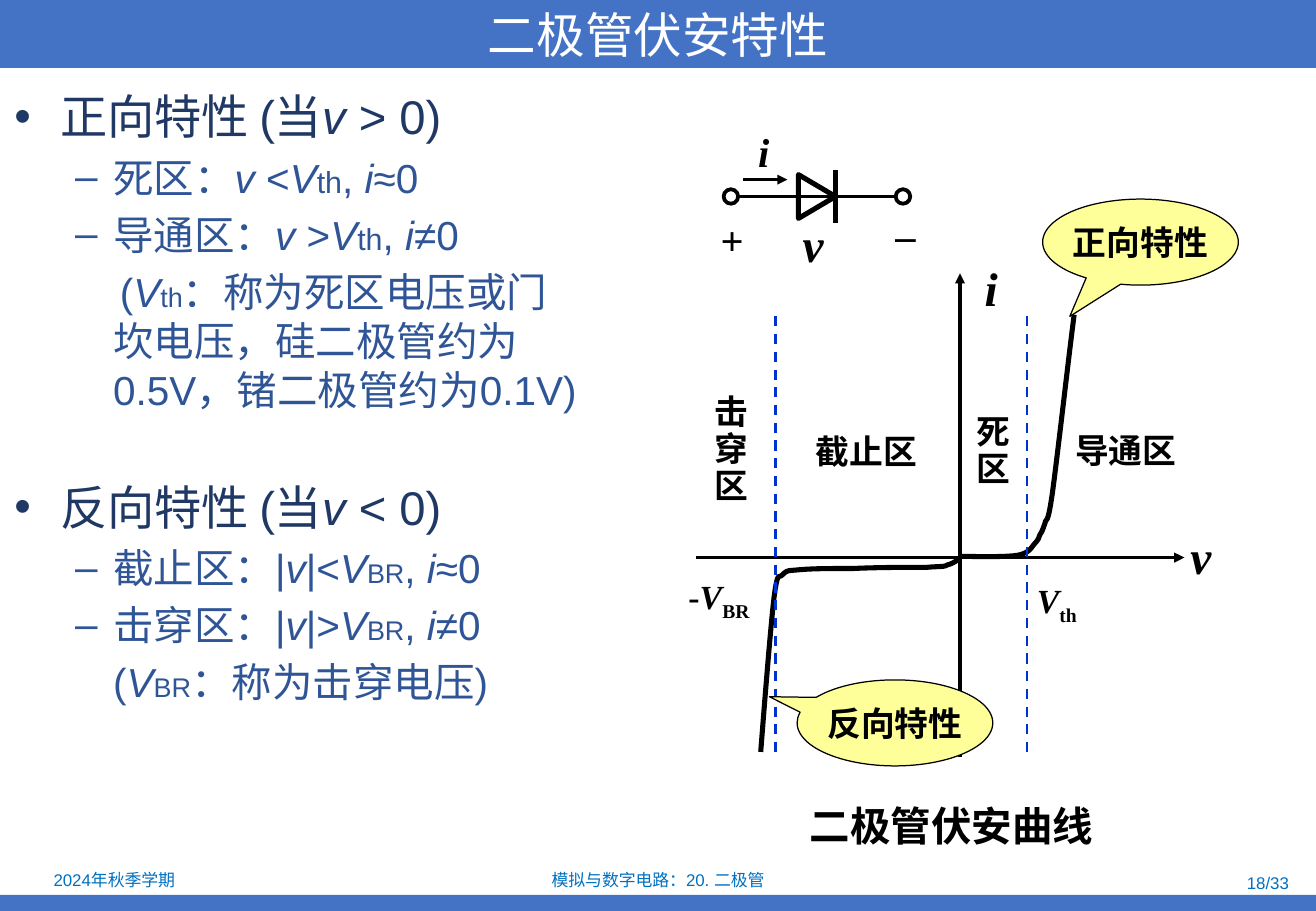
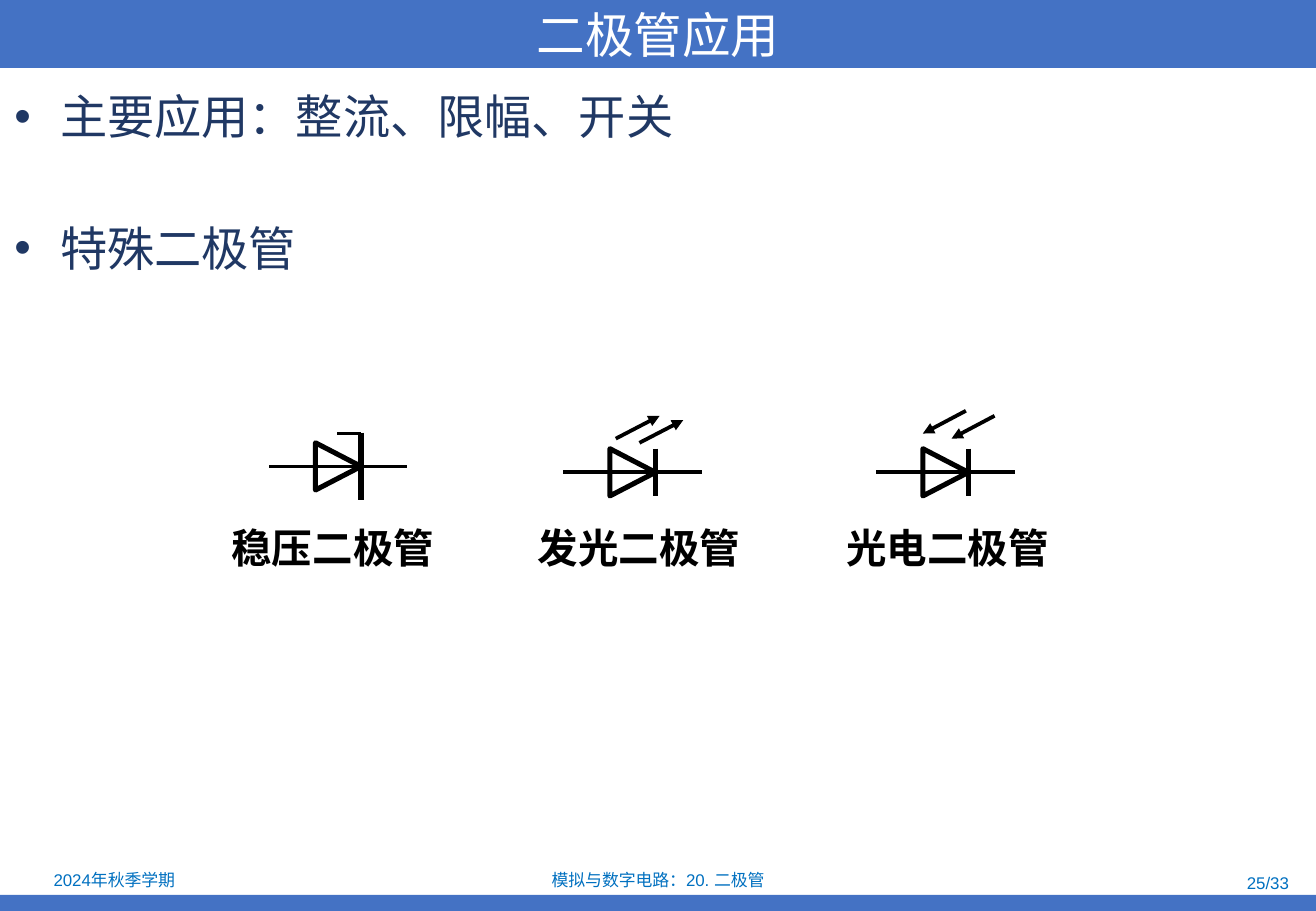
from dataclasses import dataclass
from lxml import etree
from pptx import Presentation
from pptx.dml.color import RGBColor
from pptx.enum.dml import MSO_LINE
from pptx.enum.shapes import MSO_CONNECTOR, MSO_SHAPE
from pptx.enum.text import MSO_ANCHOR, PP_ALIGN
from pptx.oxml.ns import qn
from pptx.util import Pt

LEFT, CENTER, RIGHT = PP_ALIGN.LEFT, PP_ALIGN.CENTER, PP_ALIGN.RIGHT
TOP, MIDDLE = MSO_ANCHOR.TOP, MSO_ANCHOR.MIDDLE
STRAIGHT, DASH = MSO_CONNECTOR.STRAIGHT, MSO_LINE.DASH
RECT, OVAL = MSO_SHAPE.RECTANGLE, MSO_SHAPE.OVAL
TRIANGLE, CALLOUT = MSO_SHAPE.ISOSCELES_TRIANGLE, MSO_SHAPE.OVAL_CALLOUT


@dataclass(frozen=True)
class Theme:
    width: float = 780
    height: float = 540
    band: str = "4472C4"
    white: str = "FFFFFF"
    black: str = "000000"
    footer: str = "0070C0"
    head: str = "203864"
    item: str = "2F5597"
    guide: str = "0033CC"
    callout: str = "FFFF99"
    sans: str = "Arial"
    serif: str = "Times New Roman"
    cjk: str = "Noto Sans CJK SC"
    title_size: float = 28.8
    head_size: float = 28
    item_size: float = 24
    label_size: float = 20
    footer_size: float = 10
    thin: float = 1.5
    wire: float = 2.25
    bold: float = 3


T = Theme()
LABEL = {"size": T.label_size, "font": T.cjk, "bold": True, "line": Pt(22)}
NAME = {"size": T.item_size, "bold": True, "line": Pt(32), "wrap": False}
SYMBOL = {"font": T.serif, "bold": True, "wrap": False}
SIGN = {**SYMBOL, "size": T.item_size, "ins": (0, 0), "align": LEFT}
AXIS = {**SYMBOL, "size": T.head_size, "anchor": MIDDLE}

# Left margin, first-line indent, bullet, size, line pitch, colour
LEVELS = {
    "head": (27, -27, "•", T.head_size, 36, T.head),
    "item": (58.5, -22.5, "–", T.item_size, 29, T.item),
    "note": (58.5, 0, None, T.item_size, 29, T.item),
    "inset": (58.5, 4, None, T.item_size, 29, T.item),
}


# ---- Basic parts ----
def add_runs(p, text, size, color, font=T.sans, bold=False, small=None):
    """~x~ is italic; _x_ is a subscript, or reduced text if small is given."""
    for i, part in enumerate(text.split("~")):
        for j, piece in enumerate(part.split("_")):
            if not piece:
                continue
            r = p.add_run()
            r.text = piece
            sub = j % 2 == 1
            fmt = {"size": Pt(small if sub and small else size), "name": font,
                   "bold": bold, "italic": i % 2 == 1}
            for key, value in fmt.items():
                setattr(r.font, key, value)
            r.font.color.rgb = RGBColor.from_string(color)
            rpr = r.font._element
            etree.SubElement(rpr, qn("a:ea")).set("typeface", T.cjk)
            if sub and not small:
                rpr.set("baseline", "-25000")


def set_frame(sp, anchor=TOP, wrap=True, ins=(7.2, 3.6)):
    tf = sp.text_frame
    fmt = {"word_wrap": wrap, "vertical_anchor": anchor,
           "margin_left": Pt(ins[0]), "margin_right": Pt(ins[0]),
           "margin_top": Pt(ins[1]), "margin_bottom": Pt(ins[1])}
    for key, value in fmt.items():
        setattr(tf, key, value)
    return tf


def fill_text(sp, text, size, color=T.black, font=T.sans, bold=False,
              align=CENTER, line=None, **frame):
    tf = set_frame(sp, **frame)
    for i, row in enumerate(text.split("\n")):
        p = tf.paragraphs[0] if i == 0 else tf.add_paragraph()
        p.alignment, p.line_spacing = align, line
        add_runs(p, row, size, color, font, bold)


def add_box(s, box):
    return s.shapes.add_textbox(*map(Pt, box))


def add_text(s, box, text, **fmt):
    fill_text(add_box(s, box), text, **fmt)


def add_shape(s, kind, box, fill=None, line=None, width=0.75):
    sp = s.shapes.add_shape(kind, *map(Pt, box))
    style_shape(sp, fill, line, width)
    return sp


def style_shape(sp, fill, line, width):
    sp.shadow.inherit = False
    for part, color in ((sp.fill, fill), (sp.line.fill, line)):
        if color:
            part.solid()
            part.fore_color.rgb = RGBColor.from_string(color)
        else:
            part.background()
    if line:
        sp.line.width = Pt(width)


def add_line(s, start, end, width, color=T.black, dash=None, arrow=False):
    c = s.shapes.add_connector(STRAIGHT, *map(Pt, (*start, *end)))
    c.line.width, c.line.dash_style = Pt(width), dash
    c.line.color.rgb = RGBColor.from_string(color)
    if arrow:
        etree.SubElement(c.line._get_or_add_ln(), qn("a:tailEnd")).set("type", "triangle")
    etree.SubElement(c._element.spPr, qn("a:effectLst"))


def add_curve(s, ox, oy, start, beziers, steps=8):
    points, here = [], start
    for a, b, end in beziers:
        for k in range(1, steps + 1):
            t = k / steps
            u = 1 - t
            weights = (u ** 3, 3 * u * u * t, 3 * u * t * t, t ** 3)
            x, y = (sum(w * q[axis] for w, q in zip(weights, (here, a, b, end)))
                    for axis in (0, 1))
            points.append((Pt(ox + x), Pt(oy + y)))
        here = end
    fb = s.shapes.build_freeform(Pt(ox + start[0]), Pt(oy + start[1]))
    fb.add_line_segments(points, close=False)
    style_shape(fb.convert_to_shape(), None, T.black, T.bold)


# ---- Shared slide frame ----
def add_frame(prs, title, number):
    s = prs.slides.add_slide(prs.slide_layouts[6])
    add_shape(s, RECT, (0, 530.5, T.width, 9.5), T.band)
    band = add_shape(s, RECT, (0, 0, T.width, 40.3), T.band)
    fill_text(band, title, T.title_size, T.white, T.cjk, anchor=MIDDLE, ins=(0, 0))
    for box, text, align in (
        ((1.5, 513.5, 132.5, 16.5), "2024年秋季学期", CENTER),
        ((266.5, 514, 247, 15), "模拟与数字电路：20. 二极管", CENTER),
        ((589, 515.5, 182, 15), number, RIGHT),
    ):
        add_text(s, box, text, size=T.footer_size, color=T.footer,
                 align=align, anchor=MIDDLE)
    return s


def add_body(s, box, rows):
    """Rows hold level, text, space before and size of reduced text."""
    tf = set_frame(add_box(s, box))
    for i, (level, text, before, small) in enumerate(rows):
        margin, indent, bullet, size, pitch, color = LEVELS[level]
        p = tf.paragraphs[0] if i == 0 else tf.add_paragraph()
        ppr = p._p.get_or_add_pPr()
        ppr.set("marL", str(Pt(margin)))
        ppr.set("indent", str(Pt(indent)))
        if bullet:
            etree.SubElement(ppr, qn("a:buFont")).set("typeface", T.sans)
            etree.SubElement(ppr, qn("a:buChar")).set("char", bullet)
        p.line_spacing, p.space_before = Pt(pitch), Pt(before)
        add_runs(p, text, size, color, small=small)


# ---- Diode symbols, placed about the centre of the triangle ----
def add_diode(s, cx, cy, height, depth, lead, bar):
    sp = add_shape(s, TRIANGLE, (cx - height / 2, cy - depth / 2, height, depth),
                   line=T.black, width=T.bold)
    sp.rotation = 90
    add_line(s, (cx - lead, cy), (cx + lead, cy), T.wire)
    x = cx + depth / 2
    add_line(s, (x, cy - bar), (x, cy + bar), T.bold)


def add_rays(s, cx, cy, start, end, shift):
    for k in (0, 1):
        dx, dy = cx + k * shift[0], cy + k * shift[1]
        add_line(s, (start[0] + dx, start[1] + dy), (end[0] + dx, end[1] + dy),
                 T.wire, arrow=True)


def add_circuit(s, cx, cy):
    add_diode(s, cx, cy, 26, 22, 46.8, 15.5)
    for x in (-51, 51):
        add_shape(s, OVAL, (cx + x - 4.3, cy - 4.3, 8.6, 8.6),
                  line=T.black, width=T.wire)
    add_line(s, (cx - 43.5, cy - 10), (cx - 17.5, cy - 10), T.thin, arrow=True)
    for x, y, w, h, text, fmt in (
        (-57, 11, 13.5, 29, "+", SIGN),
        (46.5, 8, 12, 29, "–", SIGN),
        (-15.5, 7.5, 26.5, 41, "~v~", AXIS),
        (-42, -45, 21, 36, "~i~", {**SYMBOL, "size": T.item_size}),
    ):
        add_text(s, (cx + x, cy + y, w, h), text, **fmt)


# ---- Characteristic curve, placed about the origin of its axes ----
def add_plot(s, ox, oy):
    add_curve(s, ox, oy, (0, -0.7), [
        ((5.8, -0.7), (27.4, 0), (34.6, -1.4)),
        ((41.8, -2.9), (42.5, -6.5), (44.6, -8.6)),
        ((46.8, -10.8), (46.8, -12.2), (47.5, -13.7)),
        ((49, -15.8), (49, -16.6), (50.4, -20.2)),
        ((51.1, -24.5), (51.8, -17.3), (54.7, -37.4)),
        ((57.6, -58.3), (64.8, -121.7), (67.7, -144)),
    ])
    add_curve(s, ox, oy, (0, 0.7), [
        ((-1.4, 1.4), (-4.3, 3.6), (-7.2, 4.3)),
        ((-10.1, 5.8), (-10.8, 5), (-19.4, 5.8)),
        ((-28.8, 5.8), (-50.4, 5.8), (-63.4, 6.5)),
        ((-75.6, 6.5), (-87.8, 6.5), (-95, 7.2)),
        ((-101.5, 7.9), (-102.2, 7.2), (-105.1, 10.1)),
        ((-107.3, 13), (-108, 6.5), (-110.2, 23.8)),
        ((-112.3, 41), (-116.6, 96.5), (-118.1, 115.2)),
    ])
    # Axes and region limits
    add_line(s, (ox, oy + 118), (ox, oy - 168.5), 2, arrow=True)
    add_line(s, (ox - 156.5, oy), (ox + 133, oy), 2, arrow=True)
    for x in (-109.3, 39.6):
        add_line(s, (ox + x, oy - 143), (ox + x, oy + 117.5), T.thin, T.guide, DASH)
    # Callouts
    for x, y, text, tip in ((49, -212.5, "正向特性", (-0.361, 0.864)),
                            (-96.5, 72.5, "反向特性", (-0.642, -0.304))):
        sp = add_shape(s, CALLOUT, (ox + x, oy + y, 116, 51), T.callout, T.black)
        sp.adjustments[0], sp.adjustments[1] = tip
        fill_text(sp, text, T.label_size, bold=True, anchor=MIDDLE,
                  wrap=False, ins=(0, 0))
    # Labels
    middle = {**LABEL, "anchor": MIDDLE}
    limit = {**SYMBOL, "size": T.label_size, "align": LEFT}
    for x, y, w, h, text, fmt in (
        (129.5, -21.5, 26.5, 41, "~v~", AXIS),
        (2.5, -180.5, 32, 41, "~i~", AXIS),
        (2.5, -88.5, 34, 50.5, "死\n区", {**middle, "align": LEFT}),
        (-96.5, -77, 82, 29, "截止区", LABEL),
        (51.5, -77.5, 93.5, 29, "导通区", middle),
        (-156.5, -100, 42.5, 72, "击穿区", middle),
        (38.5, 1.5, 42.5, 35, "~V~_th_", {**limit, "line": 1.3}),
        (-168, 2, 57, 34, "-~V~_BR_", {**limit, "line": 1.2}),
        (-96, 137.5, 184.5, 36, "二极管伏安曲线", {**NAME, "align": LEFT}),
    ):
        add_text(s, (ox + x, oy + y, w, h), text, **fmt)


# ---- Slides ----
def build_characteristic(prs):
    s = add_frame(prs, "二极管伏安特性", "18/33")
    add_body(s, (1.5, 46, 351.5, 468), [
        ("head", "正向特性 (当~v ~> 0)", 0, None),
        ("item", "死区：~v ~<~V~_th_, ~i~≈0", 4.8, 18),
        ("item", "导通区：~v ~>~V~_th_, ~i~≠0", 4.8, 18),
        ("inset", "(~V~_th_：称为死区电压或门坎电压，硅二极管约为0.5V，锗二极管约为0.1V)", 4.8, 16),
        ("head", "反向特性 (当~v ~< 0)", 36, None),
        ("item", "截止区：|~v~|<~V~_BR_, ~i~≈0", 4.8, 16),
        ("item", "击穿区：|~v~|>~V~_BR_, ~i~≠0", 4.8, 16),
        ("note", "(~V~_BR_：称为击穿电压)", 4.8, 16),
    ])
    add_plot(s, 569, 330.5)
    add_circuit(s, 484.2, 116.5)


def build_applications(prs):
    s = add_frame(prs, "二极管应用", "25/33")
    add_body(s, (1.5, 46, 778, 468), [
        ("head", "主要应用：整流、限幅、开关", 0, None),
        ("head", "特殊二极管", 42, None),
    ])
    for cx, cy, bar, label_x, text in ((200.5, 276.5, 20, 129.5, "稳压二极管"),
                                       (375, 280, 14, 311, "发光二极管"),
                                       (560.5, 280, 14, 494, "光电二极管")):
        add_diode(s, cx, cy, 28, 27, 41, bar)
        add_text(s, (label_x, 303, 135.5, 36), text, **NAME)
    add_line(s, (214, 257), (199.5, 257), T.wire)
    add_rays(s, 375, 280, (-10, -20), (16, -33.5), (14, 2.5))
    add_rays(s, 560.5, 280, (12, -36.5), (-13.5, -23), (17, 3))


def main():
    prs = Presentation()
    prs.slide_width, prs.slide_height = Pt(T.width), Pt(T.height)
    build_characteristic(prs)
    build_applications(prs)
    prs.save("out.pptx")


if __name__ == "__main__":
    main()
